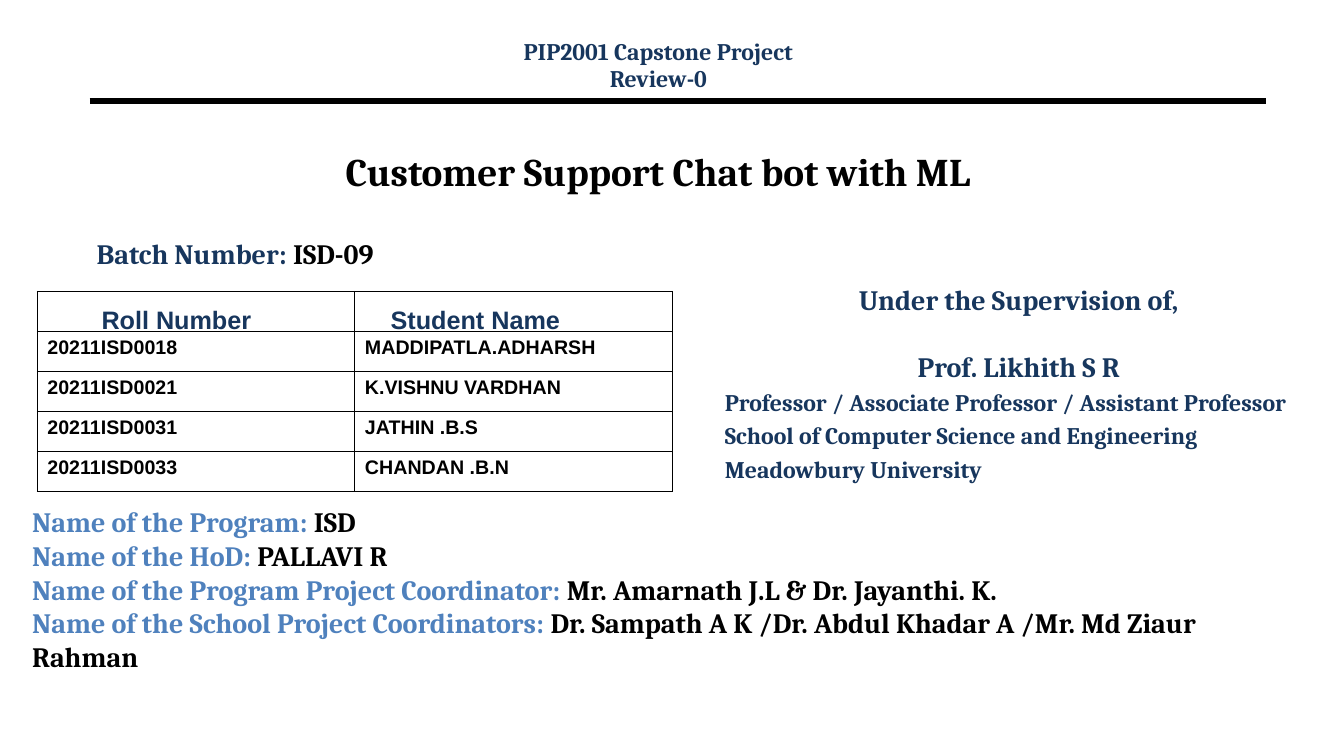
import pptx
import pptx.util
import pptx.dml.color
import pptx.enum.shapes
import pptx.enum.text
import pptx.oxml
import pptx.oxml.ns
from pptx.util import Inches

BLACK = pptx.dml.color.RGBColor(0x00, 0x00, 0x00)
NAVY = pptx.dml.color.RGBColor(0x17, 0x36, 0x5D)
DEEP_BLUE = pptx.dml.color.RGBColor(0x17, 0x37, 0x5E)
LABEL_BLUE = pptx.dml.color.RGBColor(0x4F, 0x81, 0xBD)

LEFT = pptx.enum.text.PP_ALIGN.LEFT
CENTER = pptx.enum.text.PP_ALIGN.CENTER
TOP = pptx.enum.text.MSO_ANCHOR.TOP
MIDDLE = pptx.enum.text.MSO_ANCHOR.MIDDLE

HEADINGS = ("Roll Number", "Student Name")
STUDENTS = [
    ("20211ISD0018", "MADDIPATLA.ADHARSH"),
    ("20211ISD0021", "K.VISHNU VARDHAN"),
    ("20211ISD0031", "JATHIN .B.S"),
    ("20211ISD0033", "CHANDAN .B.N"),
]
BLANK_ROW = ("", "")
STAFF = [
    ("Name of the Program: ", "ISD"),
    ("Name of the HoD: ", "PALLAVI R"),
    ("Name of the Program Project Coordinator: ",
     "Mr. Amarnath J.L & Dr. Jayanthi. K."),
    ("Name of the School Project Coordinators: ",
     "Dr. Sampath A K /Dr. Abdul Khadar A /Mr. Md Ziaur Rahman"),
]


def add_run(paragraph, text, size, color, font="Cambria"):
    run = paragraph.add_run()
    run.text = text
    run.font.name = font
    run.font.size = pptx.util.Pt(size)
    run.font.bold = True
    run.font.color.rgb = color


def add_text(slide, left, top, width, height, lines, anchor=TOP):
    """Each line is (runs, alignment, space before, line spacing)."""
    box = slide.shapes.add_textbox(
        Inches(left), Inches(top), Inches(width), Inches(height))
    frame = box.text_frame
    frame.word_wrap = True
    frame.vertical_anchor = anchor
    for index, (runs, alignment, before, spacing) in enumerate(lines):
        paragraph = frame.add_paragraph() if index else frame.paragraphs[0]
        paragraph.alignment = alignment
        paragraph.space_before = pptx.util.Pt(before)
        paragraph.line_spacing = spacing
        for run in runs:
            add_run(paragraph, *run)


def add_rule(slide, left, right, y):
    rule = slide.shapes.add_connector(
        pptx.enum.shapes.MSO_CONNECTOR.STRAIGHT,
        Inches(left), Inches(y), Inches(right), Inches(y))
    rule.line.color.rgb = BLACK
    rule.line.width = pptx.util.Pt(4.5)
    properties = rule._element.spPr
    properties.append(properties.makeelement(
        pptx.oxml.ns.qn("a:effectLst"), {}))


def style_cell(cell, bordered):
    """No fill; thin black borders or none."""
    paint = (f'<a:solidFill><a:srgbClr val="{BLACK}"/></a:solidFill>'
             if bordered else "<a:noFill/>")
    properties = cell._tc.get_or_add_tcPr()
    for side in ("lnL", "lnR", "lnT", "lnB"):
        properties.append(pptx.oxml.parse_xml(
            f'<a:{side} {pptx.oxml.ns.nsdecls("a")} w="9525">'
            f'{paint}</a:{side}>'))
    cell.fill.background()


def add_grid(slide, left, top, widths, height, rows, size, color,
             alignment, anchor, bordered):
    table = slide.shapes.add_table(
        len(rows), len(widths), Inches(left), Inches(top),
        Inches(sum(widths)), Inches(height)).table
    table.first_row = table.horz_banding = False
    for column, width in zip(table.columns, widths):
        column.width = Inches(width)
    for row, values in enumerate(rows):
        for column, value in enumerate(values):
            cell = table.cell(row, column)
            style_cell(cell, bordered)
            cell.vertical_anchor = anchor
            paragraph = cell.text_frame.paragraphs[0]
            paragraph.alignment = alignment
            if value:
                add_run(paragraph, value, size, color, "Arial")


def main():
    deck = pptx.Presentation()
    deck.slide_width, deck.slide_height = Inches(13.33), Inches(7.5)
    slide = deck.slides.add_slide(deck.slide_layouts[6])

    # Course header and rule
    add_rule(slide, 0.89, 12.56, 1)
    add_text(slide, 4.36, 0.37, 4.34, 0.6, [
        ([("PIP2001 Capstone Project", 17, NAVY)], CENTER, 0, 0.8),
        ([("Review-0", 17, NAVY)], CENTER, 3.1, 0.8),
    ])

    # Project title and batch
    add_text(slide, 0.86, 1.17, 11.33, 1.05, [
        ([("Customer Support Chat bot with ML", 28, BLACK)], CENTER, 0, 1.0),
    ], MIDDLE)
    add_text(slide, 0.86, 2.3, 4.34, 0.6, [
        ([("Batch Number: ", 20, NAVY), ("ISD-09", 20, BLACK)], LEFT, 0, 1.0),
    ])

    # Column headings, then the ruled grid of team members
    add_grid(slide, 0.61, 2.98, (2.28, 3.65), 2.4,
             [HEADINGS] + [BLANK_ROW] * 5, 18, NAVY, CENTER, MIDDLE, False)
    add_grid(slide, 0.37, 2.89, (3.15, 3.15), 1.98,
             [BLANK_ROW] + STUDENTS, 14, BLACK, LEFT, TOP, True)

    # Supervisor
    affiliation = [
        "Professor / Associate Professor / Assistant Professor",
        "School of Computer Science and Engineering",
        "Meadowbury University",
    ]
    add_text(slide, 7.09, 2.75, 6.03, 2.21, [
        ([("Under the Supervision of,", 20, NAVY)], CENTER, 0, 1.0),
        ([("Prof. Likhith S R", 20, DEEP_BLUE)], CENTER, 24, 1.0),
    ] + [([(line, 17, NAVY)], LEFT, 3.4, 1.0) for line in affiliation])

    # Program staff
    add_text(slide, 0.22, 4.96, 12.76, 1.77, [
        ([(label, 20, LABEL_BLUE), (name, 20, BLACK)], LEFT, 0, 1.0)
        for label, name in STAFF])

    deck.save("out.pptx")


if __name__ == "__main__":
    main()
